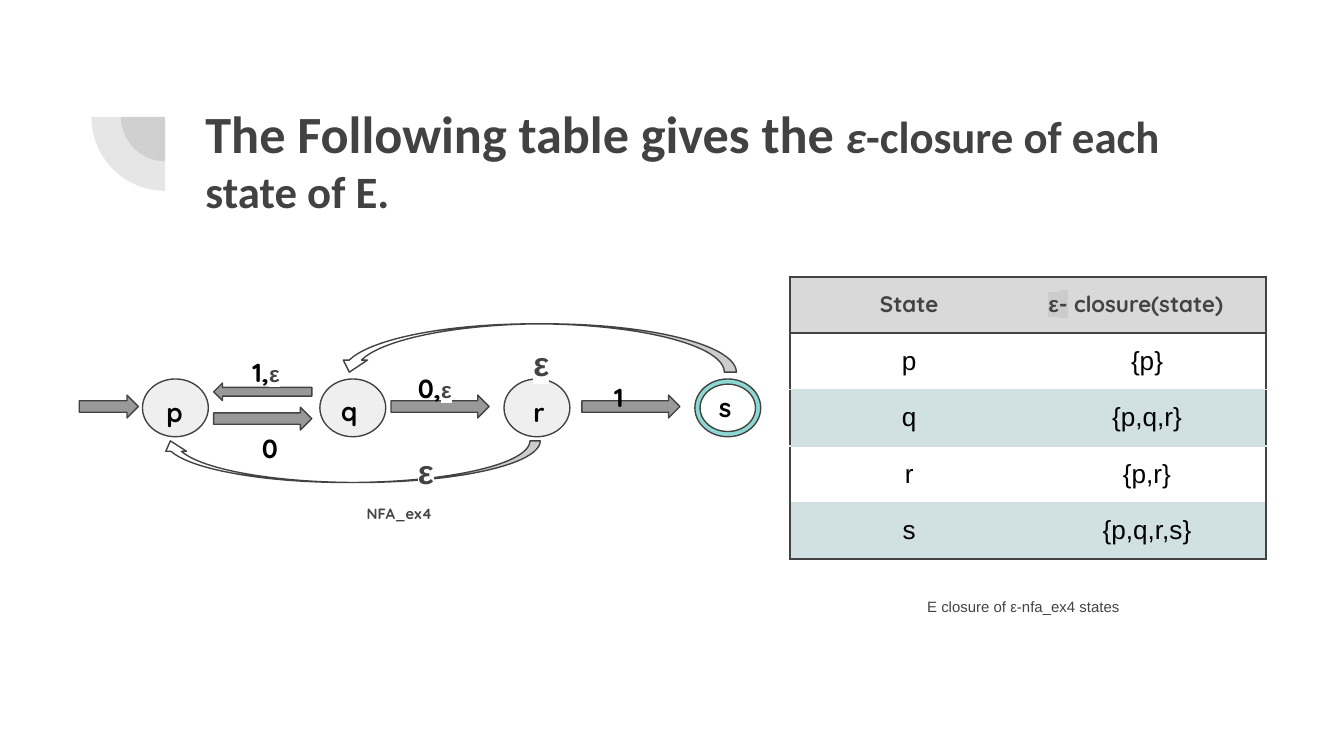
from lxml import etree
from pptx import Presentation
from pptx.dml.color import RGBColor
from pptx.enum.shapes import MSO_SHAPE
from pptx.enum.text import PP_ALIGN
from pptx.oxml.ns import qn
from pptx.util import Inches, Pt

WHITE = RGBColor(0xFF, 0xFF, 0xFF)
BLACK = RGBColor(0, 0, 0)
INK = RGBColor(0x42, 0x42, 0x42)
TEXT_GREY = RGBColor(0x43, 0x43, 0x43)
STATE_GREY = RGBColor(0xEF, 0xEF, 0xEF)
ARROW_GREY = RGBColor(0x99, 0x99, 0x99)
HEADER_GREY = RGBColor(0xD9, 0xD9, 0xD9)
MARK_GREY = RGBColor(0xCC, 0xCC, 0xCC)
ACCEPT_TEAL = RGBColor(0x8D, 0xD8, 0xD3)
BAND_BLUE = RGBColor(0xD0, 0xE0, 0xE3)
NO_TABLE_STYLE = "{2D5ABB26-0587-4C30-8999-92F81FD0307C}"


def set_font(font, size=None, name=None, color=None, bold=None, italic=None):
    if size:
        font.size = Pt(size)
    if name:
        font.name = name
    if color is not None:
        font.color.rgb = color
    font.bold, font.italic = bold, italic


def highlight(run, color):
    """Put a marker colour behind a run that already has its own text colour."""
    mark = etree.Element(qn("a:highlight"))
    etree.SubElement(mark, qn("a:srgbClr"), val=str(color))
    run.font.fill._xPr.find(qn("a:solidFill")).addnext(mark)


def add_run(paragraph, text, marker=None, **font):
    run = paragraph.add_run()
    run.text = text
    set_font(run.font, **font)
    if marker is not None:
        highlight(run, marker)


def add_text(slide, left, top, width, height):
    """Add a wrapping text box and return its first paragraph."""
    frame = slide.shapes.add_textbox(
        Inches(left), Inches(top), Inches(width), Inches(height)).text_frame
    frame.word_wrap = True
    frame.margin_left = frame.margin_right = Inches(0.1)
    frame.margin_top = frame.margin_bottom = Inches(0.1)
    return frame.paragraphs[0]


def add_label(slide, left, top, text, width=0.59, size=14):
    label = add_text(slide, left, top, width, 0.36)
    label.text = text
    set_font(label.font, size, "Quicksand", BLACK if size == 14 else TEXT_GREY, True)
    return label


def add_marked(slide, left, top, width, height, text, size, bold=None):
    """Add Arial text on a white marker, which hides lines behind it."""
    marked = add_text(slide, left, top, width, height)
    marked.line_spacing = 1.15
    marked.space_after = Pt(16)
    add_run(marked, text, WHITE, size=size, name="Arial", color=TEXT_GREY, bold=bold)


def add_outlined(slide, kind, left, top, width, height, fill, rotation=0):
    shape = slide.shapes.add_shape(
        kind, Inches(left), Inches(top), Inches(width), Inches(height))
    shape.shadow.inherit = False
    shape.rotation = rotation
    shape.fill.solid()
    shape.fill.fore_color.rgb = fill
    shape.line.color.rgb = INK
    shape.line.width = Pt(0.75)
    return shape


def add_quarter_rings(slide, center_x, center_y):
    for radius in (0.33, 0.55):
        pie = add_outlined(slide, MSO_SHAPE.PIE, center_x - radius, center_y - radius,
                           2 * radius, 2 * radius, INK, 270)
        pie.line.fill.background()
        pie.adjustments[0], pie.adjustments[1] = 108, 162
        color = pie.fill._xPr.find(qn("a:solidFill"))[0]
        etree.SubElement(color, qn("a:alpha"), val="13000")


def add_heading(slide, left, top, width, height):
    heading = add_text(slide, left, top, width, height)
    set_font(heading.font, name="Calibri", bold=True)
    add_run(heading, "The Following table gives the ", size=28, color=INK,
            name="Calibri", bold=True)
    add_run(heading, "ε", WHITE, size=24, color=TEXT_GREY, name="Calibri",
            bold=True, italic=True)
    add_run(heading, "-closure of each state of E.", size=24, color=INK,
            name="Calibri", bold=True)


def add_automaton(slide, left, top):
    """Draw the NFA; all offsets are from the top left corner."""
    for x in (0.47, 1.79, 3.16):
        add_outlined(slide, MSO_SHAPE.OVAL, left + x, top + 0.41, 0.49, 0.43, STATE_GREY)
    accepting = add_outlined(slide, MSO_SHAPE.DONUT, left + 4.58, top + 0.41,
                             0.49, 0.43, ACCEPT_TEAL)
    accepting.adjustments[0] = 0.09

    for x, y, width, height, rotation in (
            (0, 0.53, 0.44, 0.17, 0), (1, 0.62, 0.73, 0.17, 0),
            (2.32, 0.53, 0.73, 0.17, 0), (3.74, 0.53, 0.73, 0.17, 0),
            (1, 0.44, 0.73, 0.13, 180)):
        add_outlined(slide, MSO_SHAPE.RIGHT_ARROW, left + x, top + y,
                     width, height, ARROW_GREY, rotation)

    s_to_q = add_outlined(slide, MSO_SHAPE.CURVED_DOWN_ARROW, left + 1.92, top,
                          2.97, 0.36, WHITE)
    s_to_q._element.spPr.find(qn("a:xfrm")).set("flipH", "1")
    r_to_p = add_outlined(slide, MSO_SHAPE.CURVED_DOWN_ARROW, left + 0.6, top + 0.87,
                          2.83, 0.31, WHITE, 180)
    for loop in (s_to_q, r_to_p):
        for index, value in enumerate((0.25, 0.5, 0.25)):
            loop.adjustments[index] = value

    for state, x, y in (("p", 0.55, 0.44), ("q", 1.85, 0.43),
                        ("r", 3.28, 0.44), ("s", 4.66, 0.4)):
        add_label(slide, left + x, top + y, state, width=0.35)
    for symbol, x, y in (("1,", 1.19, 0.14), ("0", 1.26, 0.71),
                         ("0,", 2.42, 0.26), ("1", 3.88, 0.33)):
        label = add_label(slide, left + x, top + y, symbol)
        if symbol.endswith(","):
            add_run(label, "ε", WHITE, size=12, name="Arial", color=TEXT_GREY, bold=True)
    for x, y in ((3.28, 0), (2.42, 0.8)):
        add_marked(slide, left + x, top + y, 0.59, 0.27, "ε", 18, True)
    add_label(slide, left + 2.04, top + 1.28, "NFA_ex4", width=1.01, size=8)


def add_border(cell, side, color, width):
    line = etree.SubElement(cell._tc.get_or_add_tcPr(), qn(f"a:ln{side}"),
                            w=str(Pt(width)))
    fill = etree.SubElement(line, qn("a:solidFill"))
    etree.SubElement(fill, qn("a:srgbClr"), val=str(color))


def style_cell(cell, row, column, last_row):
    add_border(cell, "LR"[column], TEXT_GREY, 1.5)
    if row < 2:
        add_border(cell, "T", TEXT_GREY, 1.5)
    elif row == 2:
        add_border(cell, "T", BAND_BLUE, 0.75)
    if row in (0, last_row):
        add_border(cell, "B", TEXT_GREY, 1.5)
    elif row == 1:
        add_border(cell, "B", BAND_BLUE, 0.75)
    cell.fill.solid()
    cell.fill.fore_color.rgb = (
        HEADER_GREY if row == 0 else WHITE if row % 2 else BAND_BLUE)
    cell.margin_left = cell.margin_right = cell.margin_top = Inches(0.1)
    cell.margin_bottom = Inches(0.08)


def add_closure_table(slide, left, top, width, height):
    closures = (("State", ""), ("p", "{p}"), ("q", "{p,q,r}"),
                ("r", "{p,r}"), ("s", "{p,q,r,s}"))
    table = slide.shapes.add_table(len(closures), 2, Inches(left), Inches(top),
                                   Inches(width), Inches(height)).table
    table._tbl.tblPr.find(qn("a:tableStyleId")).text = NO_TABLE_STYLE
    for row, texts in enumerate(closures):
        for column, text in enumerate(texts):
            cell = table.cell(row, column)
            style_cell(cell, row, column, len(closures) - 1)
            entry = cell.text_frame.paragraphs[0]
            entry.alignment = PP_ALIGN.CENTER
            entry.text = text
            if row:
                set_font(entry.font, 14, "Arial", BLACK)
            else:
                set_font(entry.font, 12, "Quicksand", TEXT_GREY, True)

    closure_head = table.cell(0, 1)
    closure_head.margin_left = Inches(0.15)
    head = closure_head.text_frame.paragraphs[0]
    head.alignment = PP_ALIGN.LEFT
    for text, name, marker in (("ε", "Arial", MARK_GREY), ("-", "Quicksand", MARK_GREY),
                               (" closure(state)", "Quicksand", HEADER_GREY)):
        add_run(head, text, marker, size=12, name=name, color=TEXT_GREY, bold=True)


def main():
    presentation = Presentation()
    presentation.slide_width = Inches(10)
    presentation.slide_height = presentation.slide_width * 9 // 16
    slide = presentation.slides.add_slide(presentation.slide_layouts[6])
    add_quarter_rings(slide, 1.23, 0.87)
    add_heading(slide, 1.43, 0.65, 7.69, 1.09)
    add_automaton(slide, 0.59, 2.41)
    add_closure_table(slide, 5.88, 2.06, 3.54, 2.1)
    add_marked(slide, 6.8, 4.35, 1.91, 0.33, "Ε closure of ε-nfa_ex4 states", 8)
    presentation.save("out.pptx")


if __name__ == "__main__":
    main()
